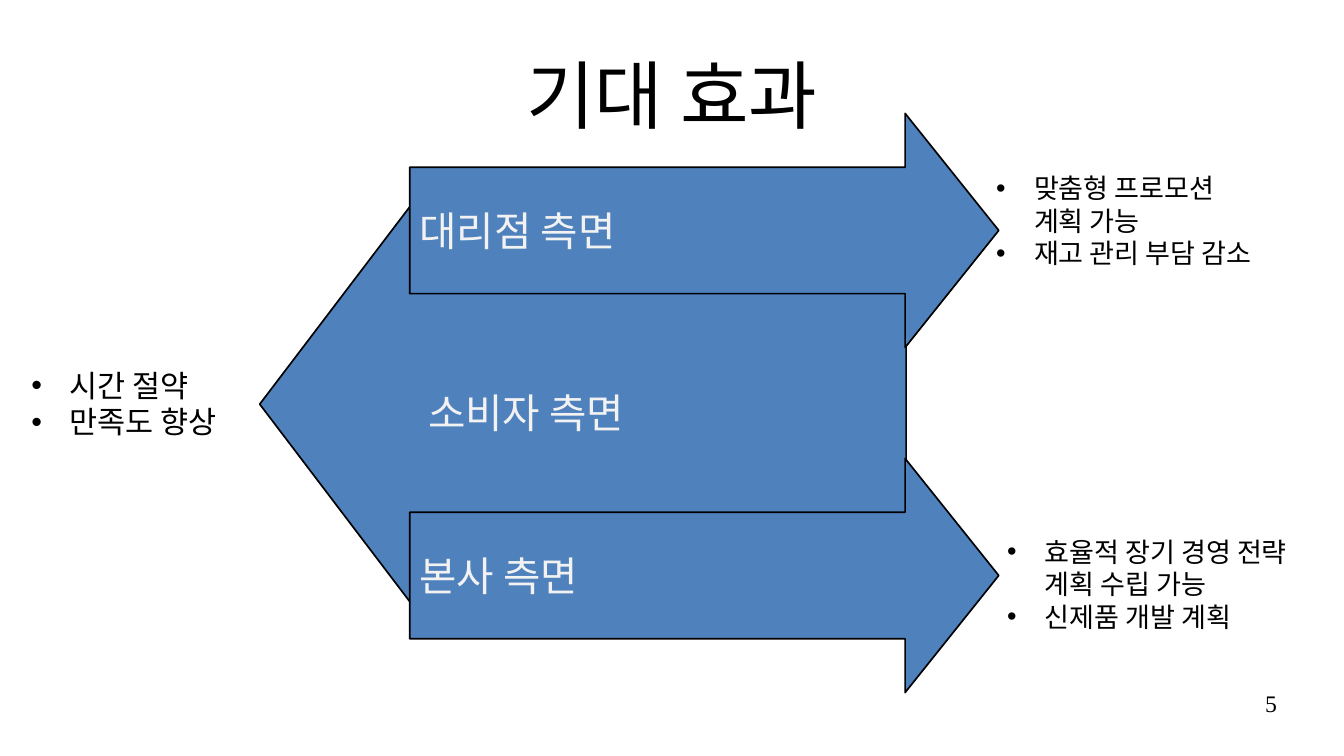
from dataclasses import dataclass

from lxml.etree import SubElement
from pptx import Presentation
from pptx.dml.color import RGBColor
from pptx.enum.shapes import MSO_SHAPE as Shape
from pptx.enum.text import MSO_ANCHOR as Anchor, PP_ALIGN as Align
from pptx.oxml.ns import qn
from pptx.util import Inches, Pt


@dataclass(frozen=True)
class Theme:
    black: RGBColor = RGBColor(0x00, 0x00, 0x00)
    pale: RGBColor = RGBColor(0xF2, 0xF2, 0xF2)
    blue: RGBColor = RGBColor(0x4F, 0x81, 0xBD)
    korean: str = "Noto Sans CJK KR"
    latin: str = "Times New Roman"
    title: int = 44
    label: int = 24
    benefit: int = 18
    small_benefit: int = 16
    number: int = 14


THEME = Theme()


def place(shape, left, top, width, height):
    shape.left, shape.top = Inches(left), Inches(top)
    shape.width, shape.height = Inches(width), Inches(height)


def write(shape, *lines, size, font=THEME.korean, color=THEME.black,
          align=Align.LEFT, anchor=Anchor.TOP, insets=(0, 0), bullets=False):
    """Fill a shape with one paragraph per line; insets are (sides, top and bottom)."""
    frame = shape.text_frame
    frame.word_wrap = True
    frame.vertical_anchor = anchor
    frame.margin_left = frame.margin_right = Inches(insets[0])
    frame.margin_top = frame.margin_bottom = Inches(insets[1])
    frame.text = "\n".join(lines)
    for para in frame.paragraphs:
        para.alignment = align
        for span in para.runs:
            span.font.size = Pt(size)
            span.font.name = font
            span.font.color.rgb = color
            SubElement(span.font._element, qn("a:ea"), typeface=THEME.korean)
        for line_break in para._p.findall(qn("a:br")):
            SubElement(line_break, qn("a:rPr"), sz=str(size * 100))
        if bullets:
            add_bullet(para)


def add_bullet(para):
    properties = para._p.get_or_add_pPr()
    indent = Inches(0.31)
    properties.set("marL", str(indent))
    properties.set("indent", str(-indent))
    SubElement(properties, qn("a:buFont"), typeface="Arial")
    SubElement(properties, qn("a:buChar"), char="•")


def add_text(page, position, *lines, **style):
    box = page.shapes.add_textbox(0, 0, 0, 0)
    place(box, *position)
    write(box, *lines, **style)


def add_arrow(page, kind, position, head):
    arrow = page.shapes.add_shape(kind, 0, 0, 0, 0)
    place(arrow, *position)
    arrow.adjustments[0] = 0.54
    arrow.adjustments[1] = head
    arrow.shadow.inherit = False
    arrow.fill.solid()
    arrow.fill.fore_color.rgb = THEME.blue
    arrow.line.color.rgb = THEME.black
    arrow.line.width = Pt(1)
    return arrow


def add_benefits(page, position, *lines, size):
    add_text(page, position, *lines, size=size, insets=(0.1, 0.05), bullets=True)


def main():
    deck = Presentation()
    deck.slide_width, deck.slide_height = Inches(11.02), Inches(6.2)
    page = deck.slides.add_slide(deck.slide_layouts[5])

    title = page.shapes.title
    place(title, 0.55, 0.25, 9.92, 1.04)
    write(title, "기대 효과", size=THEME.title, font=THEME.latin,
          align=Align.CENTER, anchor=Anchor.MIDDLE)

    add_arrow(page, Shape.LEFT_ARROW, (2.13, 1.61, 5.3, 3.41), head=0.38)
    add_text(page, (3.51, 3.18, 3.67, 0.27), "소비자 측면",
             size=THEME.label, color=THEME.pale)
    for label, top in (("본사 측면", 3.76), ("대리점 측면", 0.93)):
        arrow = add_arrow(page, Shape.RIGHT_ARROW, (3.36, top, 4.83, 1.92), head=0.4)
        write(arrow, label, size=THEME.label, color=THEME.pale,
              anchor=Anchor.MIDDLE, insets=(0.08, 0))

    add_benefits(page, (0.16, 2.96, 1.87, 0.71), "시간 절약", "만족도 향상",
                 size=THEME.benefit)
    add_benefits(page, (8.07, 1.36, 2.55, 0.91), "맞춤형 프로모션 \v계획 가능",
                 "재고 관리 부담 감소", size=THEME.small_benefit)
    add_benefits(page, (8.16, 4.34, 2.85, 0.91), "효율적 장기 경영 전략 \v계획 수립 가능",
                 "신제품 개발 계획", size=THEME.small_benefit)

    add_text(page, (7.9, 5.65, 2.57, 0.43), "5", size=THEME.number,
             font=THEME.latin, align=Align.RIGHT)
    deck.save("out.pptx")


if __name__ == "__main__":
    main()
